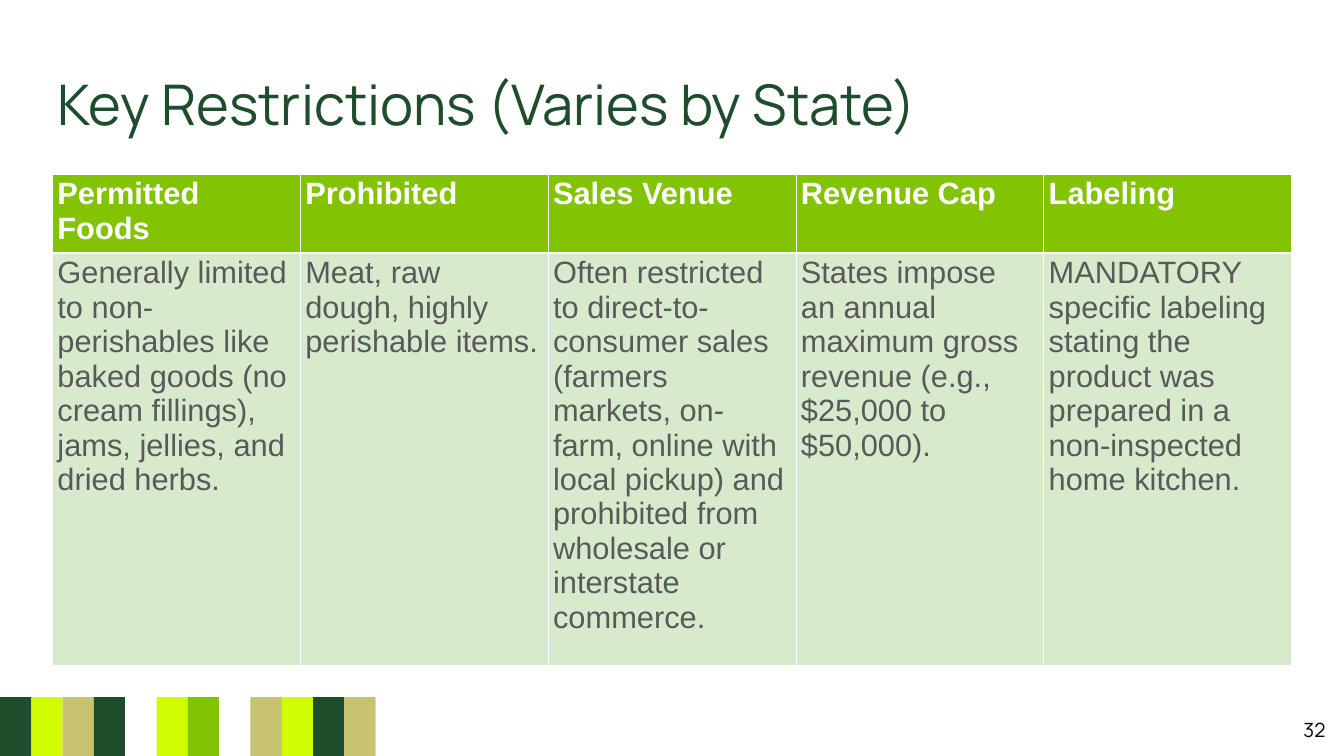
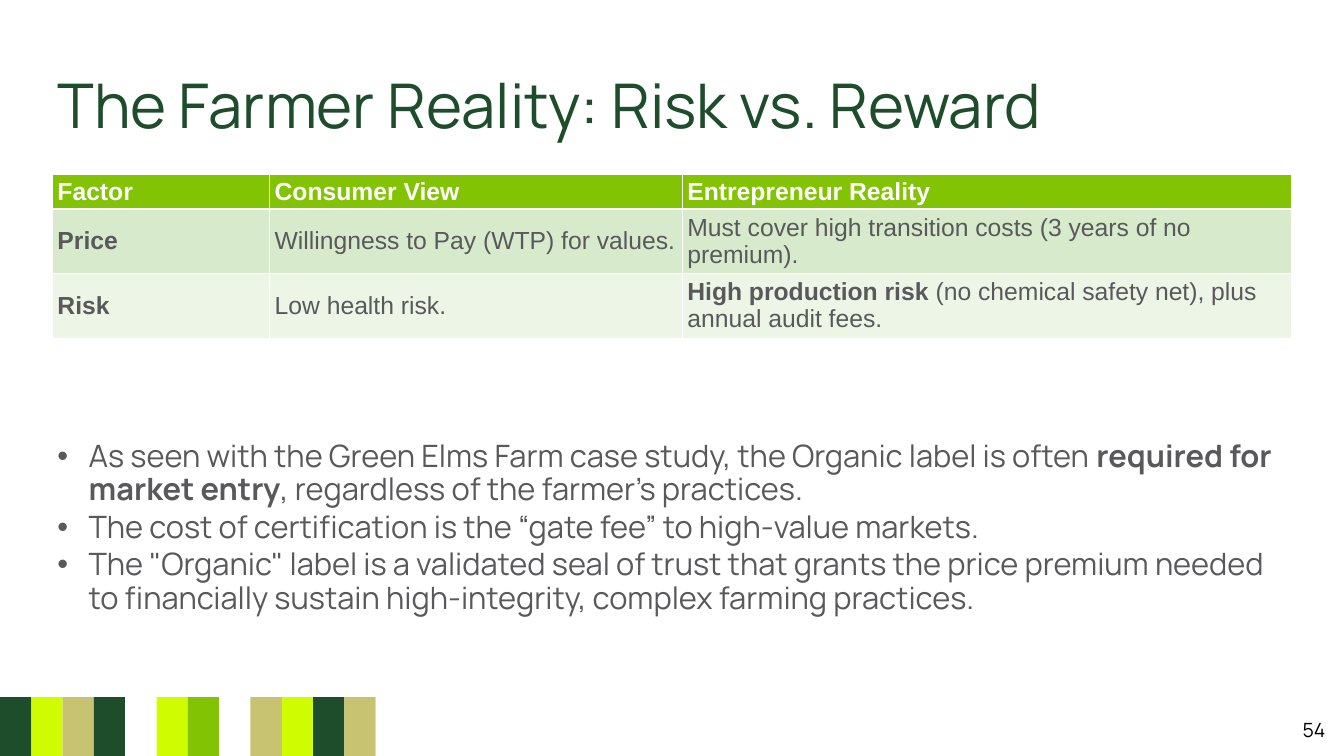
from lxml.etree import SubElement
from pptx import Presentation
from pptx.dml.color import RGBColor
from pptx.enum.shapes import MSO_SHAPE
from pptx.enum.text import MSO_ANCHOR, MSO_AUTO_SIZE, PP_ALIGN
from pptx.oxml.ns import qn
from pptx.util import Inches, Pt

GREEN, LIME, LEAF, SAND, WHITE = "1E4D2B", "CFFC00", "82C403", "C8C371", "FFFFFF"
GREY, BLACK, PALE, PALER = "59595B", "000000", "D8EACC", "EDF5E7"
BAND = [GREEN, LIME, SAND, GREEN, WHITE, LIME, LEAF,
        WHITE, SAND, LIME, GREEN, SAND, WHITE]
BAR_WIDTH, BAND_TOP, BAND_HEIGHT = 2.33, 92.23, 7.77
LEFT, WIDTH, TABLE_TOP = 3.9, 92.2, 23.07


def colour(hex_code):
    return RGBColor.from_string(hex_code)


class Deck:
    """Holds the shared style and the current slide; lengths are percentages of the slide."""

    def __init__(self):
        self.prs = Presentation()
        self.prs.slide_width = Inches(26.67)
        self.prs.slide_height = Inches(15)

    def across(self, share):
        return round(self.prs.slide_width * share / 100)

    def down(self, share):
        return round(self.prs.slide_height * share / 100)

    def area(self, left, top, width, height):
        return self.across(left), self.down(top), self.across(width), self.down(height)

    def new_slide(self, title, title_size, number):
        self.slide = self.prs.slides.add_slide(self.prs.slide_layouts[6])
        for position, shade in enumerate(BAND):
            self.bar(position * BAR_WIDTH, shade)
        heading = self.text_box(LEFT, 8.3, WIDTH, 10.8, MSO_ANCHOR.MIDDLE)
        heading.margin_top = heading.margin_bottom = Inches(0.1)
        heading.auto_size = MSO_AUTO_SIZE.SHAPE_TO_FIT_TEXT
        self.add_words(heading.paragraphs[0], title, title_size, GREEN)
        footer = self.text_box(95.2, 94.93, 3.79, 3.27, MSO_ANCHOR.MIDDLE)
        footer.paragraphs[0].alignment = PP_ALIGN.RIGHT
        self.add_words(footer.paragraphs[0], str(number), 28, BLACK)

    def bar(self, left, shade):
        bar = self.slide.shapes.add_shape(
            MSO_SHAPE.RECTANGLE, *self.area(left, BAND_TOP, BAR_WIDTH, BAND_HEIGHT))
        bar.shadow.inherit = False
        bar.fill.solid()
        bar.fill.fore_color.rgb = colour(shade)
        bar.line.fill.background()

    def text_box(self, left, top, width, height, anchor=MSO_ANCHOR.TOP):
        frame = self.slide.shapes.add_textbox(*self.area(left, top, width, height)).text_frame
        frame.word_wrap = True
        frame.vertical_anchor = anchor
        return frame

    def add_words(self, paragraph, text, size, shade, font="Manrope"):
        for part, words in enumerate(text.split("**")):
            if words:
                run = paragraph.add_run()
                run.text = words
                run.font.name = font
                run.font.size = Pt(size)
                run.font.bold = part % 2 == 1
                run.font.color.rgb = colour(shade)

    def bullets(self, top, height, points, size):
        frame = self.text_box(LEFT, top, WIDTH, height)
        frame.auto_size = MSO_AUTO_SIZE.SHAPE_TO_FIT_TEXT
        for index, point in enumerate(points):
            paragraph = frame.add_paragraph() if index else frame.paragraphs[0]
            properties = paragraph._p.get_or_add_pPr()
            properties.set("marL", str(Inches(0.62)))
            properties.set("indent", str(-Inches(0.62)))
            SubElement(properties, qn("a:buFont"), typeface="Arial")
            SubElement(properties, qn("a:buChar"), char="•")
            paragraph.line_spacing = 0.9
            if index:
                paragraph.space_before = Pt(6)
            self.add_words(paragraph, point, size, GREY)

    def table(self, rows, column_weights, row_heights, size, anchor):
        grid = self.slide.shapes.add_table(
            len(rows), len(column_weights),
            *self.area(LEFT, TABLE_TOP, WIDTH, sum(row_heights))).table
        for column, weight in zip(grid.columns, column_weights):
            column.width = self.across(WIDTH * weight / sum(column_weights))
        for row, height in zip(grid.rows, row_heights):
            row.height = self.down(height)
        for r, texts in enumerate(rows):
            fill = (PALER, PALE)[r % 2] if r else LEAF
            for c, text in enumerate(texts):
                cell = grid.cell(r, c)
                cell.vertical_anchor = anchor
                self.borders(cell, 1 if r else 3)
                cell.fill.solid()
                cell.fill.fore_color.rgb = colour(fill)
                self.add_words(cell.text_frame.paragraphs[0], text if r else f"**{text}**",
                               size, GREY if r else WHITE, "Arial")

    def borders(self, cell, bottom):
        properties = cell._tc.get_or_add_tcPr()
        for side, points in {"L": 1, "R": 1, "T": 1, "B": bottom}.items():
            edge = SubElement(properties, qn(f"a:ln{side}"), w=str(Pt(points)))
            SubElement(SubElement(edge, qn("a:solidFill")), qn("a:srgbClr"), val=WHITE)


def main():
    deck = Deck()

    deck.new_slide("Key Restrictions (Varies by State)", 80, 32)
    restrictions = {
        "Permitted Foods": "Generally limited to non-perishables like baked goods "
                           "(no cream fillings), jams, jellies, and dried herbs.",
        "Prohibited": "Meat, raw dough, highly perishable items.",
        "Sales Venue": "Often restricted to direct-to-consumer sales (farmers markets, "
                       "on-farm, online with local pickup) and prohibited from "
                       "wholesale or interstate commerce.",
        "Revenue Cap": "States impose an annual maximum gross revenue "
                       "(e.g., $25,000 to $50,000).",
        "Labeling": "MANDATORY specific labeling stating the product was prepared "
                    "in a non-inspected home kitchen.",
    }
    deck.table([list(restrictions), list(restrictions.values())],
               [1] * len(restrictions), [9.6, 50.8], 44, MSO_ANCHOR.TOP)

    deck.new_slide("The Farmer Reality: Risk vs. Reward", 88, 54)
    factors = [
        ["Factor", "Consumer View", "Entrepreneur Reality"],
        ["**Price**", "Willingness to Pay (WTP) for values.",
         "Must cover high transition costs (3 years of no premium)."],
        ["**Risk**", "Low health risk.",
         "**High production risk** (no chemical safety net), plus annual audit fees."],
    ]
    deck.table(factors, [4.31, 8.19, 12.09], [4.2, 8, 8], 35.3, MSO_ANCHOR.MIDDLE)
    deck.bullets(58, 26.47, [
        "As seen with the Green Elms Farm case study, the Organic label is often "
        "**required for market entry**, regardless of the farmer’s practices.",
        "The cost of certification is the “gate fee” to high-value markets.",
        'The "Organic" label is a validated seal of trust that grants the price premium '
        "needed to financially sustain high-integrity, complex farming practices.",
    ], 44)

    deck.prs.save("out.pptx")


if __name__ == "__main__":
    main()
